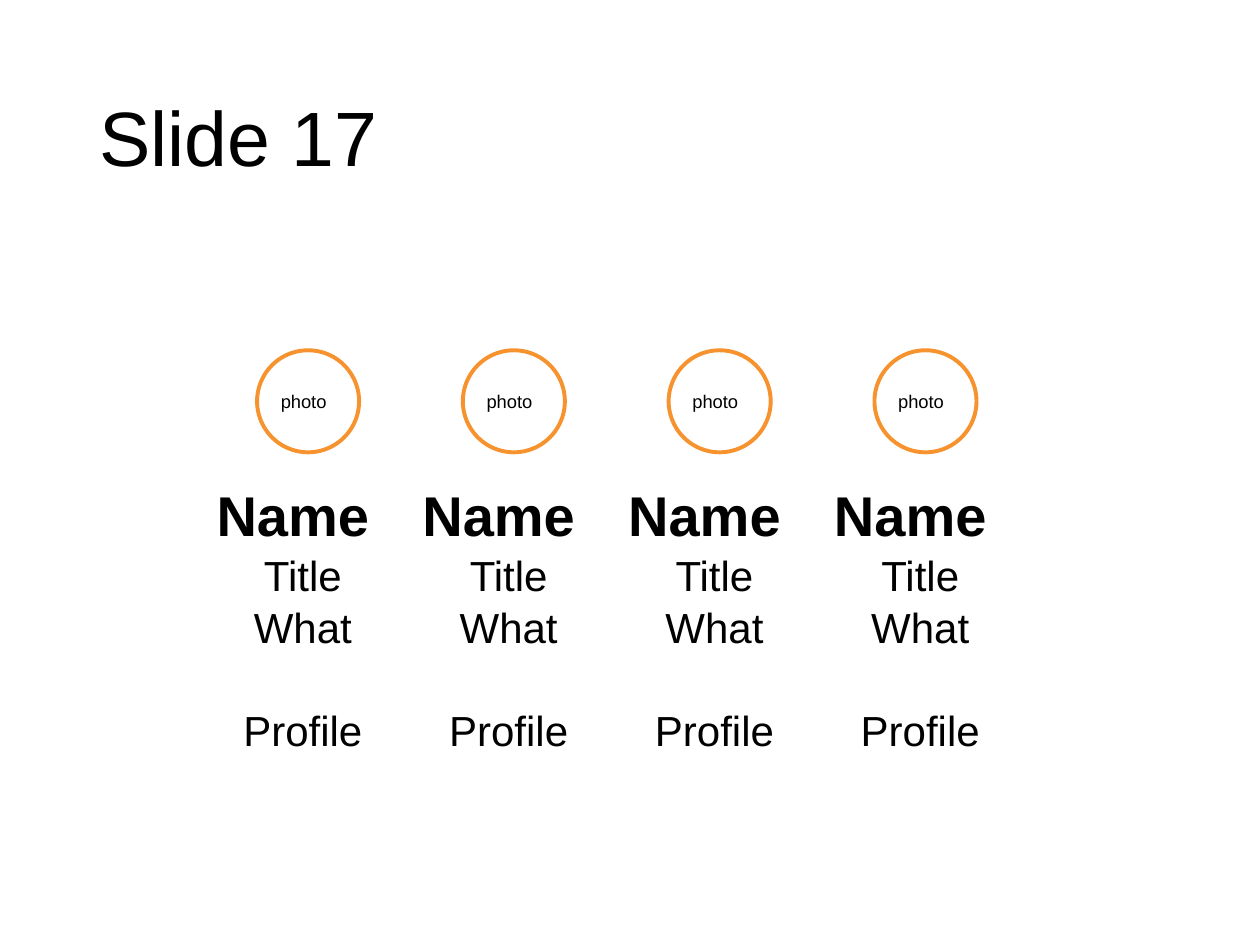
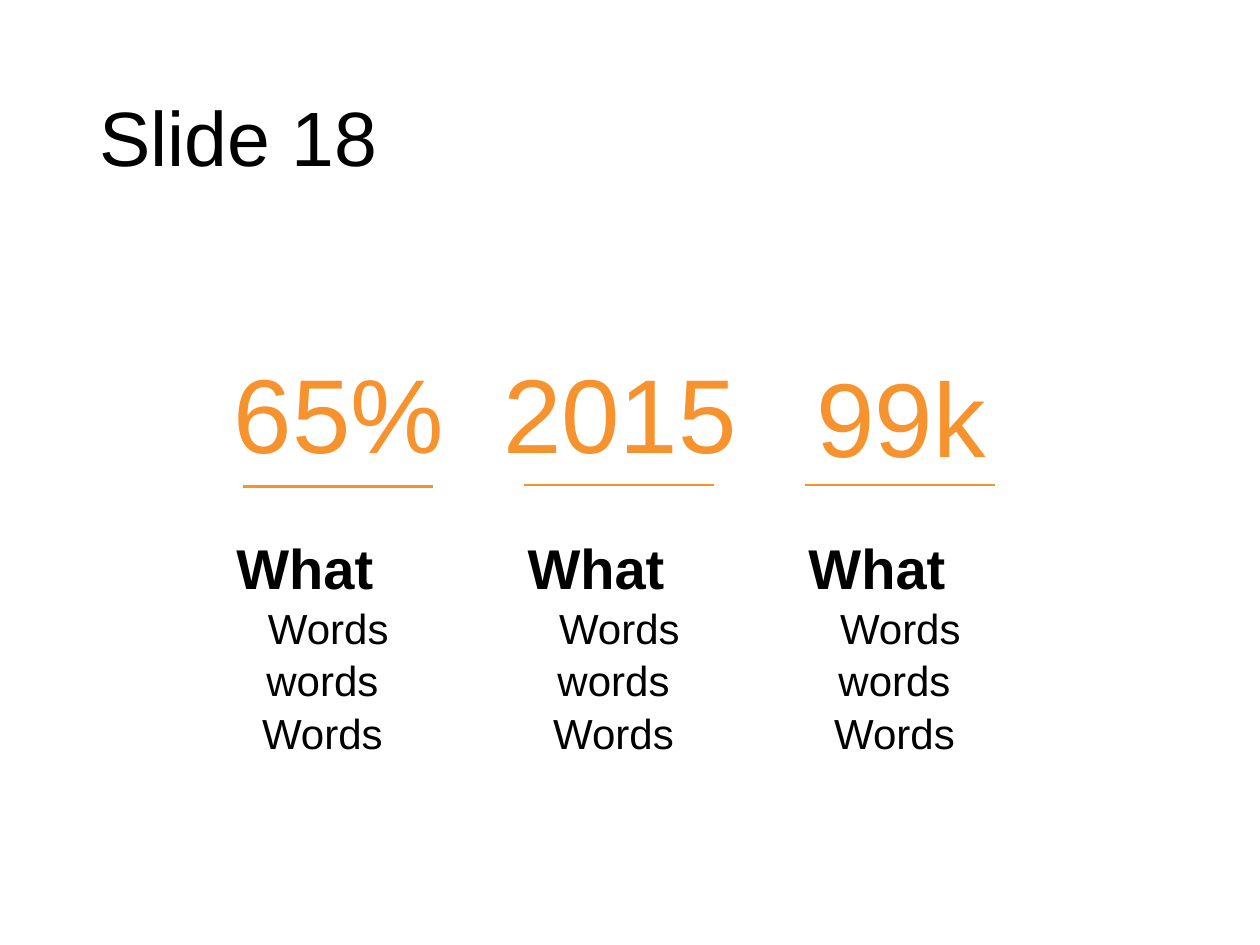
import pptx
import pptx.util
import pptx.dml.color
import pptx.enum.shapes
import pptx.enum.text
import lxml.etree

Inches, Pt = pptx.util.Inches, pptx.util.Pt
ALIGN, ANCHOR = pptx.enum.text.PP_ALIGN, pptx.enum.text.MSO_ANCHOR
RGB = pptx.dml.color.RGBColor.from_string
COLORS = {"text": "000000", "accent": "F7932E", "paper": "FFFFFF"}
FONT = "Arial"
INSET = 0.07

deck = pptx.Presentation()
deck.slide_width, deck.slide_height = Inches(10), Inches(7.5)


def write(shape, lines, sizes, color="text", align=ALIGN.CENTER,
          anchor=ANCHOR.TOP, inset=INSET, spacing=None):
    """Fill a shape with one paragraph per line, all in the deck font."""
    frame = shape.text_frame
    frame.word_wrap = True
    frame.vertical_anchor = anchor
    frame.margin_left = frame.margin_right = Inches(inset)
    frame.margin_top = frame.margin_bottom = Inches(INSET)
    frame.text = "\n".join(lines)
    for paragraph, size in zip(frame.paragraphs, sizes):
        paragraph.alignment = align
        paragraph.line_spacing = spacing
        for run in paragraph.runs:
            run.font.name = FONT
            run.font.size = Pt(size)
            run.font.color.rgb = RGB(COLORS[color])
    return frame


def add_caption(slide, left, top, width, lines, shift):
    """Bold heading, set left of the centred body lines by half of shift."""
    box = slide.shapes.add_textbox(Inches(left), Inches(top), Inches(width), Inches(1))
    frame = write(box, lines, [32] + [24] * (len(lines) - 1), spacing=1.04)
    frame.margin_top = Inches(0.1)
    frame.margin_left, frame.margin_right = 0, Inches(shift)
    heading, *body = frame.paragraphs
    heading.runs[0].font.bold = True
    for paragraph in body:
        paragraph._p.get_or_add_pPr().set("marL", str(Inches(shift)))
    return frame


# Slides with their shared title
slides = []
for title in ("Slide 17", "Slide 18"):
    slide = deck.slides.add_slide(deck.slide_layouts[6])
    slide.background.fill.solid()
    slide.background.fill.fore_color.rgb = RGB(COLORS["paper"])
    title_box = slide.shapes.add_textbox(Inches(0.69), Inches(0.4), Inches(8.62), Inches(1.45))
    write(title_box, [title], [44], align=ALIGN.LEFT, anchor=ANCHOR.MIDDLE,
          inset=0.1, spacing=0.9)
    slides.append(slide)
team_slide, figures_slide = slides

# Team: four photo circles with captions
for member in range(4):
    offset = member * 4.9 / 3
    photo = team_slide.shapes.add_shape(
        pptx.enum.shapes.MSO_SHAPE.OVAL,
        Inches(2.04 + offset), Inches(2.78), Inches(0.81), Inches(0.81))
    photo.shadow.inherit = False
    photo.fill.solid()
    photo.fill.fore_color.rgb = RGB(COLORS["paper"])
    photo.line.color.rgb = RGB(COLORS["accent"])
    photo.line.width = Pt(2.25)
    write(photo, ["photo"], [10.5], align=ALIGN.LEFT, anchor=ANCHOR.MIDDLE)

    caption = add_caption(team_slide, 1.58 + offset, 3.69, 1.74,
                          ["Name", "Title ", "What ", "Profile "], shift=0.25)
    caption.paragraphs[-1].space_before = Pt(28.7)

# Figures: number, rule and caption in three columns
figures = [  # number, number top, rule height, caption left
    ("65%", 3.15, 3.86, 1.71),
    ("2015", 3.15, 3.85, 4.02),
    ("99k", 3.18, 3.85, 6.25),
]
for column, (number, number_top, rule_y, caption_left) in enumerate(figures):
    offset = column * 2.23
    rule = figures_slide.shapes.add_connector(
        pptx.enum.shapes.MSO_CONNECTOR.STRAIGHT,
        Inches(1.93 + offset), Inches(rule_y), Inches(3.44 + offset), Inches(rule_y))
    rule.line.color.rgb = RGB(COLORS["accent"])
    rule.line.width = Pt(1.5)
    lxml.etree.SubElement(rule._element.spPr, pptx.oxml.ns.qn("a:effectLst"))

    add_caption(figures_slide, caption_left, 4.11, 1.79,
                ["What", "Words words ", "Words "], shift=0.37)

    number_box = figures_slide.shapes.add_textbox(
        Inches(1.26 + offset), Inches(number_top), Inches(2.86), Inches(0.7))
    write(number_box, [number], [60], color="accent", anchor=ANCHOR.BOTTOM, spacing=0.9)

deck.save("out.pptx")
